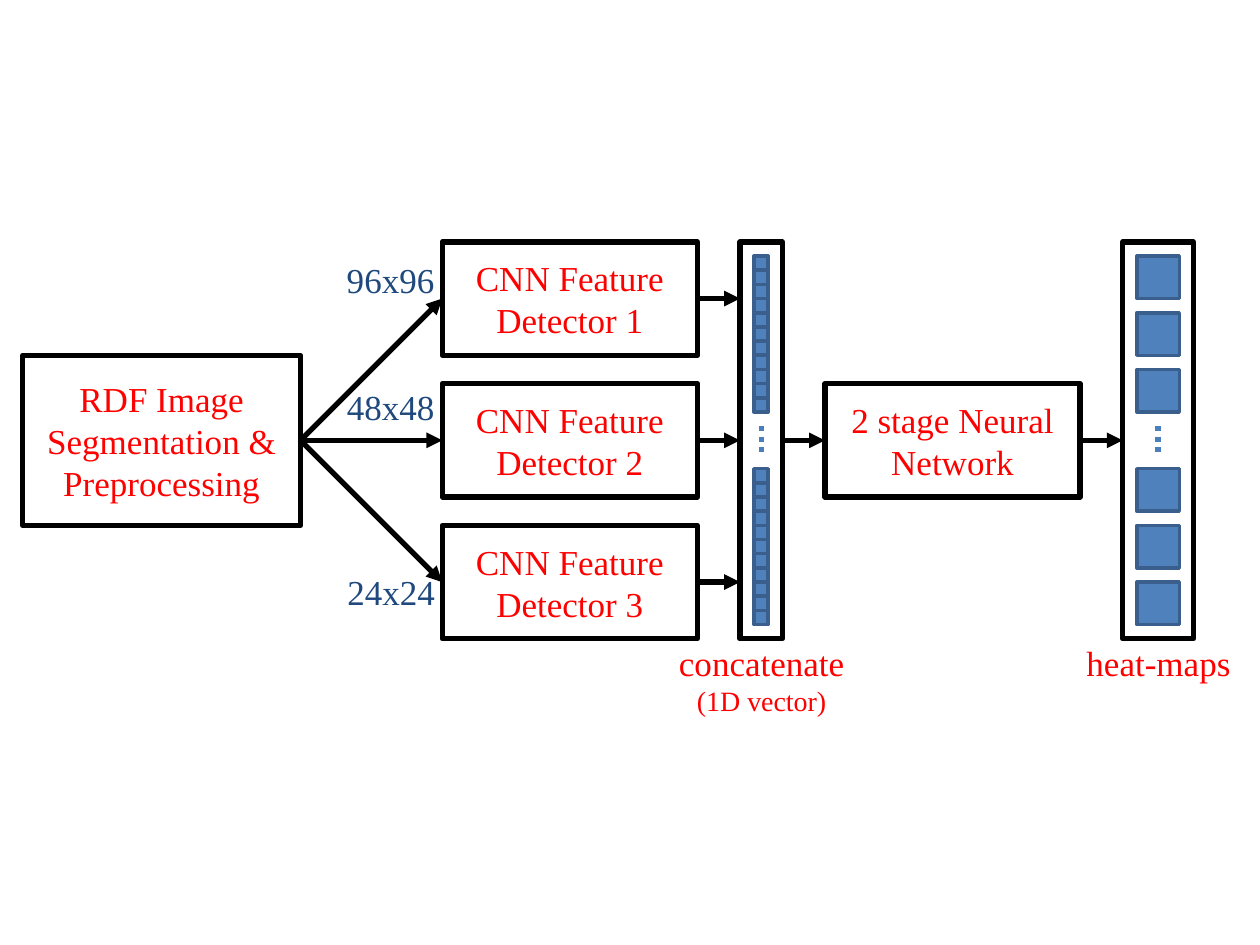
from dataclasses import dataclass
from typing import Optional

from lxml.etree import SubElement
from pptx import Presentation
from pptx.dml.color import RGBColor
from pptx.enum.dml import MSO_LINE
from pptx.enum.shapes import MSO_CONNECTOR, MSO_SHAPE
from pptx.enum.text import MSO_ANCHOR, MSO_AUTO_SIZE, PP_ALIGN
from pptx.oxml.ns import qn
from pptx.shapes.autoshape import Shape
from pptx.shapes.connector import Connector
from pptx.shapes.shapetree import SlideShapes
from pptx.text.text import TextFrame
from pptx.util import Inches, Length, Pt

COLORS = {
    "outline": "000000",
    "stage": "FF0000",
    "resolution": "1F497D",
    "cell": "4F81BD",
    "cell_line": "3A5F8C",
    "dots": "4B7EBC",
}
FONT = "Times New Roman"
UNIT = 0.9 / 8
GRID_LEFT, GRID_TOP = 3.51, 1.92
DETECTOR_ROWS = (0, 10, 20)
VECTOR_ROWS = (*range(1, 12), *range(16, 27))
HEAT_MAP_ROWS = (1, 5, 9, 16, 20, 24)
TOP_SIDE, LEFT_SIDE, BOTTOM_SIDE, RIGHT_SIDE = range(4)


@dataclass
class Box:
    """A framed block, measured in grid units."""
    column: float
    row: float
    width: float
    height: float
    text: str = ""


@dataclass
class Label:
    """A free text with its place in inches and a size for each line."""
    text: str
    left: float
    top: float
    width: float
    height: float
    color: str
    sizes: tuple[int, ...] = (20,)


SEGMENTATION = Box(-29.6, 8, 19.6, 12, "RDF Image Segmentation & Preprocessing")
DETECTORS = [Box(0, row, 18, 8, f"CNN Feature Detector {number}")
             for number, row in enumerate(DETECTOR_ROWS, 1)]
VECTOR = Box(21, 0, 3, 28)
NETWORK = Box(27, 10, 18, 8, "2 stage Neural Network")
HEAT_MAPS = Box(48, 0, 5, 28)
LABELS = [
    Label("concatenate\n(1D vector)", 5.27, 5.04, 1.55, 0.71, "stage", (20, 16)),
    Label("heat-maps", 8.51, 5.04, 1.37, 0.44, "stage"),
    Label("96x96", 2.65, 2.0, 0.9, 0.44, "resolution"),
    Label("48x48", 2.64, 3.01, 0.92, 0.44, "resolution"),
    Label("24x24", 2.64, 4.48, 0.93, 0.45, "resolution"),
]


def rgb(name: str) -> RGBColor:
    """Look up a named colour."""
    return RGBColor.from_string(COLORS[name])


def grid_x(column: float) -> Length:
    """Turn a grid column into a slide position."""
    return Inches(GRID_LEFT + column * UNIT)


def grid_y(row: float) -> Length:
    """Turn a grid row into a slide position."""
    return Inches(GRID_TOP + row * UNIT)


def format_text(frame: TextFrame, color: str, sizes: tuple[int, ...]) -> None:
    """Centre each paragraph and set its font."""
    for paragraph, size in zip(frame.paragraphs, sizes):
        paragraph.alignment = PP_ALIGN.CENTER
        for run in paragraph.runs:
            run.font.name = FONT
            run.font.size = Pt(size)
            run.font.color.rgb = rgb(color)


def draw_block(shapes: SlideShapes, kind: MSO_SHAPE, box: Box,
               line: str, weight: float) -> Shape:
    """Draw an unfilled outlined block on the grid."""
    block = shapes.add_shape(kind, grid_x(box.column), grid_y(box.row),
                             Inches(box.width * UNIT), Inches(box.height * UNIT))
    block.shadow.inherit = False
    block.fill.background()
    block.line.color.rgb = rgb(line)
    block.line.width = Pt(weight)
    return block


def draw_box(shapes: SlideShapes, box: Box) -> Shape:
    """Draw a black frame with its stage name."""
    frame = draw_block(shapes, MSO_SHAPE.ROUNDED_RECTANGLE, box, "outline", 3)
    frame.adjustments[0] = 0
    if box.text:
        frame.text_frame.text = box.text
        frame.text_frame.word_wrap = True
        frame.text_frame.vertical_anchor = MSO_ANCHOR.MIDDLE
        format_text(frame.text_frame, "stage", (20,))
    return frame


def draw_cells(shapes: SlideShapes, column: float, rows: tuple[int, ...], size: float) -> None:
    """Draw a column of blue squares."""
    for row in rows:
        cell = draw_block(shapes, MSO_SHAPE.RECTANGLE, Box(column, row, size, size),
                          "cell_line", 2)
        cell.fill.solid()
        cell.fill.fore_color.rgb = rgb("cell")


def draw_line(shapes: SlideShapes, start: tuple[Length, Length],
              end: tuple[Length, Length], color: str) -> Connector:
    """Draw a straight line without shadow."""
    line = shapes.add_connector(MSO_CONNECTOR.STRAIGHT, *start, *end)
    line.line.color.rgb = rgb(color)
    line.line.width = Pt(3)
    SubElement(line._element.spPr, qn("a:effectLst"))
    return line


def draw_arrow(shapes: SlideShapes, source: Shape, target: Shape,
               end_y: Optional[Length] = None) -> None:
    """Draw an arrow to the target's left middle, or to a given height on that side."""
    start = (source.left + source.width, source.top + source.height // 2)
    end = (target.left, target.top + target.height // 2 if end_y is None else end_y)
    arrow = draw_line(shapes, start, end, "outline")
    arrow.begin_connect(source, RIGHT_SIDE)
    if end_y is None:
        arrow.end_connect(target, LEFT_SIDE)
    SubElement(arrow.line._get_or_add_ln(), qn("a:tailEnd"), type="triangle")


def draw_dots(shapes: SlideShapes, box: Box) -> None:
    """Draw the vertical ellipsis in the middle of a frame."""
    center = grid_x(box.column + box.width / 2)
    dots = draw_line(shapes, (center, grid_y(13)), (center, grid_y(15)), "dots")
    dots.line.dash_style = MSO_LINE.ROUND_DOT


def draw_label(shapes: SlideShapes, label: Label) -> None:
    """Draw a centred text that does not wrap."""
    frame = shapes.add_textbox(Inches(label.left), Inches(label.top),
                               Inches(label.width), Inches(label.height)).text_frame
    frame.text = label.text
    frame.word_wrap = False
    frame.auto_size = MSO_AUTO_SIZE.SHAPE_TO_FIT_TEXT
    format_text(frame, label.color, label.sizes)


def main() -> None:
    """Build the detection pipeline slide."""
    presentation = Presentation()
    presentation.slide_width, presentation.slide_height = Inches(10), Inches(7.5)
    shapes = presentation.slides.add_slide(presentation.slide_layouts[6]).shapes

    detectors = [draw_box(shapes, box) for box in DETECTORS]
    segmentation, vector, network, heat_maps = [
        draw_box(shapes, box) for box in (SEGMENTATION, VECTOR, NETWORK, HEAT_MAPS)]

    for detector, box in zip(detectors, DETECTORS):
        draw_arrow(shapes, segmentation, detector)
        middle = box.row + box.height / 2
        draw_arrow(shapes, detector, vector,
                   None if middle == VECTOR.height / 2 else grid_y(middle))
    draw_arrow(shapes, vector, network)
    draw_arrow(shapes, network, heat_maps)

    draw_cells(shapes, VECTOR.column + 1, VECTOR_ROWS, 1)
    draw_cells(shapes, HEAT_MAPS.column + 1, HEAT_MAP_ROWS, 3)
    for box in (VECTOR, HEAT_MAPS):
        draw_dots(shapes, box)
    for label in LABELS:
        draw_label(shapes, label)

    presentation.save("out.pptx")


if __name__ == "__main__":
    main()
